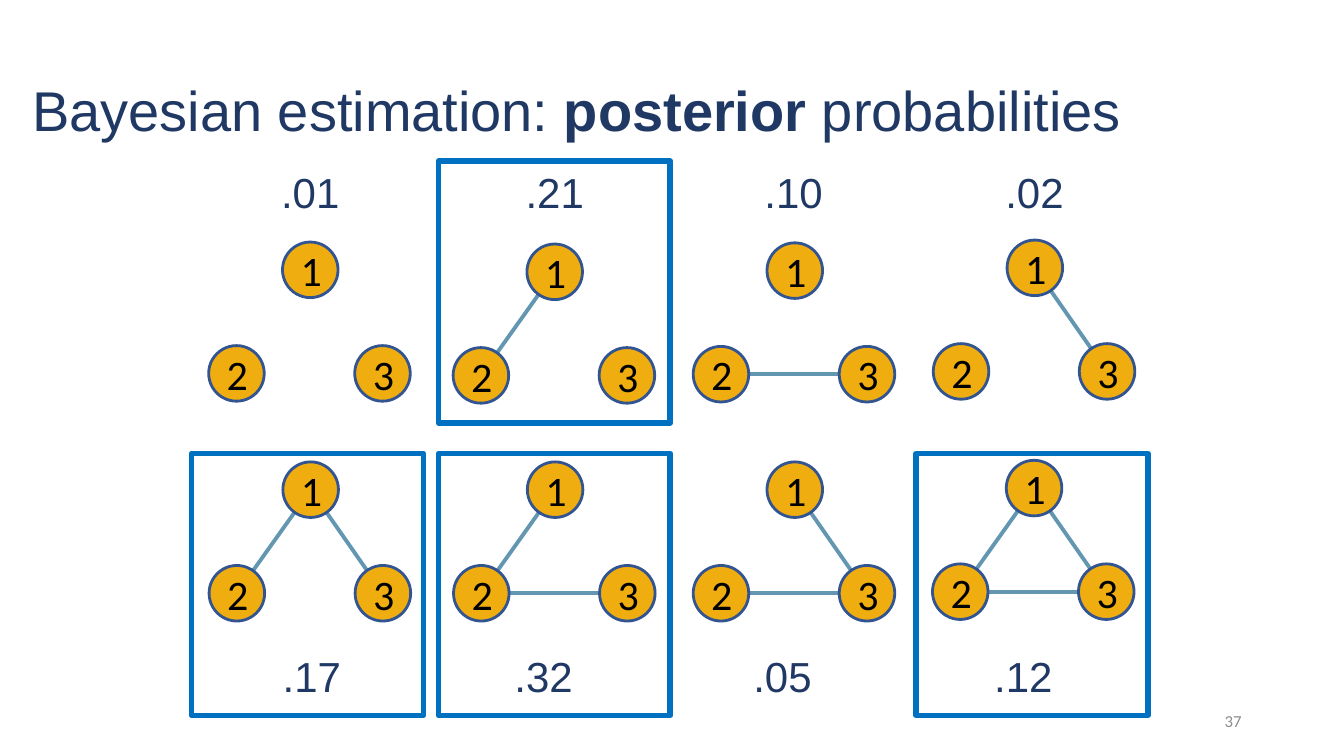
from dataclasses import dataclass

from lxml.etree import SubElement
from pptx import Presentation
from pptx.dml.color import RGBColor as Rgb
from pptx.enum.shapes import MSO_CONNECTOR as Connector, MSO_SHAPE as Shape
from pptx.enum.text import MSO_ANCHOR as Anchor, MSO_AUTO_SIZE as AutoSize, PP_ALIGN as Align
from pptx.oxml.ns import qn
from pptx.util import Cm, Pt


@dataclass(frozen=True)
class Theme:
    navy: Rgb = Rgb.from_string("203864")
    edge: Rgb = Rgb.from_string("6397B1")
    node: Rgb = Rgb.from_string("F0AD0F")
    node_line: Rgb = Rgb.from_string("325491")
    frame: Rgb = Rgb.from_string("0070C0")
    black: Rgb = Rgb.from_string("000000")
    grey: Rgb = Rgb.from_string("8C8C8C")
    heading: str = "Arial"
    body: str = "Calibri"
    title_size: Pt = Pt(40)
    text_size: Pt = Pt(30)
    number_size: Pt = Pt(12)


theme = Theme()


def write(shape, text, font=theme.body, size=theme.text_size, color=theme.black,
          align=Align.CENTER, anchor=Anchor.MIDDLE, wrap=True, bold_word=None):
    """Fill a shape with one paragraph, setting bold_word in bold."""
    frame = shape.text_frame
    frame.auto_size = AutoSize.NONE
    frame.word_wrap = wrap
    frame.vertical_anchor = anchor
    para = frame.paragraphs[0]
    para.alignment = align
    before, word, after = text.partition(bold_word) if bold_word else (text, "", "")
    for part in filter(None, (before, word, after)):
        span = para.add_run()
        span.text = part
        span.font.name, span.font.size = font, size
        span.font.color.rgb = color
        span.font.bold = part == bold_word
    return para


def outline(shape, color, width, fill=None):
    """Set the line and fill of a shape and drop its shadow."""
    shape.shadow.inherit = False
    shape.line.color.rgb = color
    shape.line.width = Pt(width)
    if fill is None:
        shape.fill.background()
    else:
        shape.fill.solid()
        shape.fill.fore_color.rgb = fill


deck = Presentation()
deck.slide_width, deck.slide_height = Cm(33.87), Cm(19.05)
page = deck.slides.add_slide(deck.slide_layouts[5])

title = page.shapes.title
title.left, title.top, title.width, title.height = Cm(0.56), Cm(1.02), Cm(31), Cm(3.68)
para = write(title, "Bayesian estimation: posterior probabilities", font=theme.heading,
             size=theme.title_size, color=theme.navy, align=Align.LEFT, bold_word="posterior")
para.line_spacing = 0.9

# Lengths in cm; node centres are relative to node 1
DIAMETER = 1.4
NODES = {1: (0, 0), 2: (-1.86, 2.61), 3: (1.82, 2.61)}
LABEL_WIDTH, LABEL_HEIGHT = 2, 2.75
FRAME_WIDTH, FRAME_HEIGHT = 5.84, 6.6

# Each row: label top, frame top, graphs
# Each graph: probability, label centre, centre of node 1, edges, frame left
rows = [
    (4.06, 4.06, [
        (".01", 7.82, (7.82, 6.8), [], None),
        (".21", 13.98, (13.98, 6.85), [(1, 2)], 11.05),
        (".10", 20, (20.03, 6.82), [(2, 3)], None),
        (".02", 26.07, (26.08, 6.75), [(1, 3)], None),
    ]),
    (16.28, 11.43, [
        (".17", 7.86, (7.83, 12.34), [(1, 2), (1, 3)], 4.83),
        (".32", 13.7, (13.99, 12.34), [(1, 2), (2, 3)], 11.05),
        (".05", 19.72, (20.03, 12.34), [(1, 3), (2, 3)], None),
        (".12", 25.79, (26.06, 12.3), [(1, 2), (1, 3), (2, 3)], 23.09),
    ]),
]

for label_top, frame_top, graphs in rows:
    for probability, label_x, (x, y), edges, frame_left in graphs:
        graph = page.shapes.add_group_shape()
        centres = {name: (x + dx, y + dy) for name, (dx, dy) in NODES.items()}
        for start, end in edges:
            ends = [Cm(length) for length in centres[start] + centres[end]]
            edge = graph.shapes.add_connector(Connector.STRAIGHT, *ends)
            edge.line.color.rgb = theme.edge
            edge.line.width = Pt(2.75)
            SubElement(edge._element.spPr, qn("a:effectLst"))
        for name, (node_x, node_y) in centres.items():
            node = graph.shapes.add_shape(
                Shape.OVAL, Cm(node_x - DIAMETER / 2), Cm(node_y - DIAMETER / 2),
                Cm(DIAMETER), Cm(DIAMETER))
            outline(node, theme.node_line, 2, fill=theme.node)
            write(node, str(name))

        label = page.shapes.add_textbox(Cm(label_x - LABEL_WIDTH / 2), Cm(label_top),
                                        Cm(LABEL_WIDTH), Cm(LABEL_HEIGHT))
        write(label, probability, font=theme.heading, color=theme.navy,
              anchor=Anchor.TOP, wrap=False)

        if frame_left is not None:
            frame = page.shapes.add_shape(Shape.RECTANGLE, Cm(frame_left), Cm(frame_top),
                                          Cm(FRAME_WIDTH), Cm(FRAME_HEIGHT))
            outline(frame, theme.frame, 4)

number = page.shapes.add_textbox(Cm(23.92), Cm(17.66), Cm(7.62), Cm(1.01))
write(number, "37", size=theme.number_size, color=theme.grey, align=Align.RIGHT)

deck.save("out.pptx")
